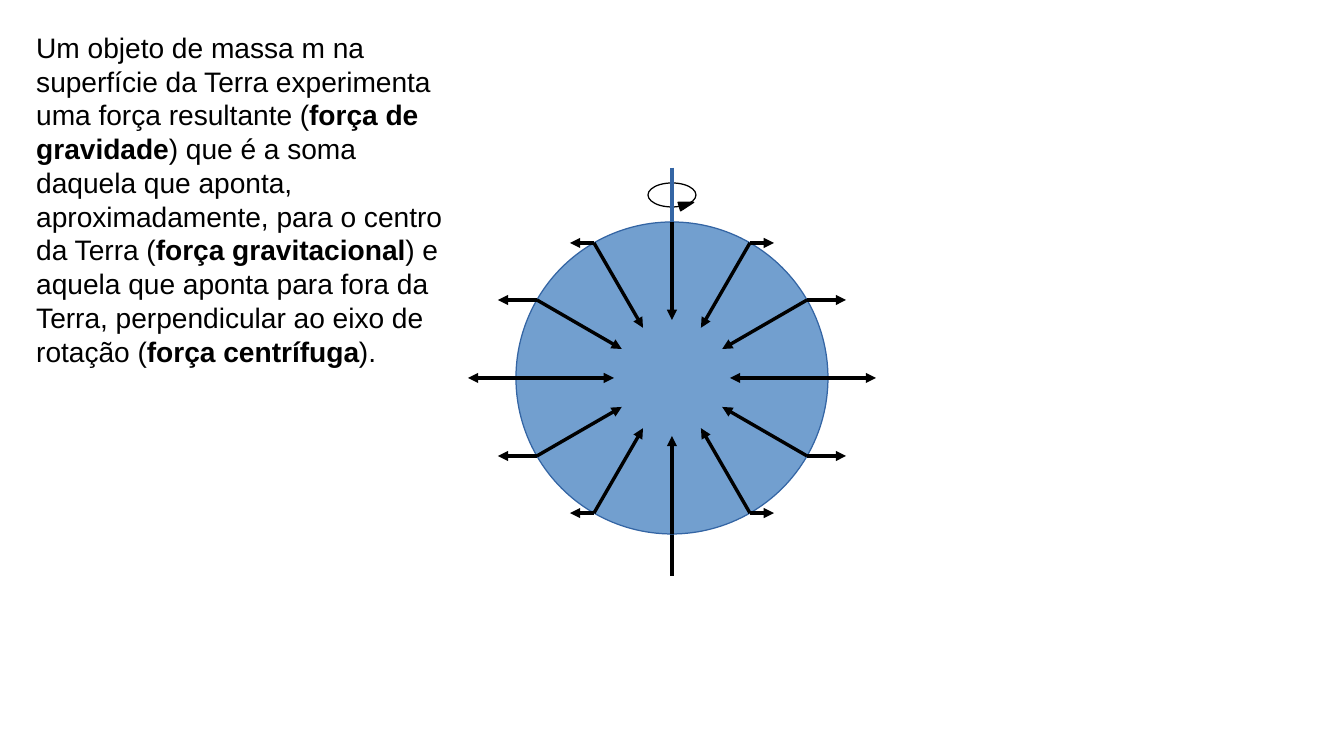
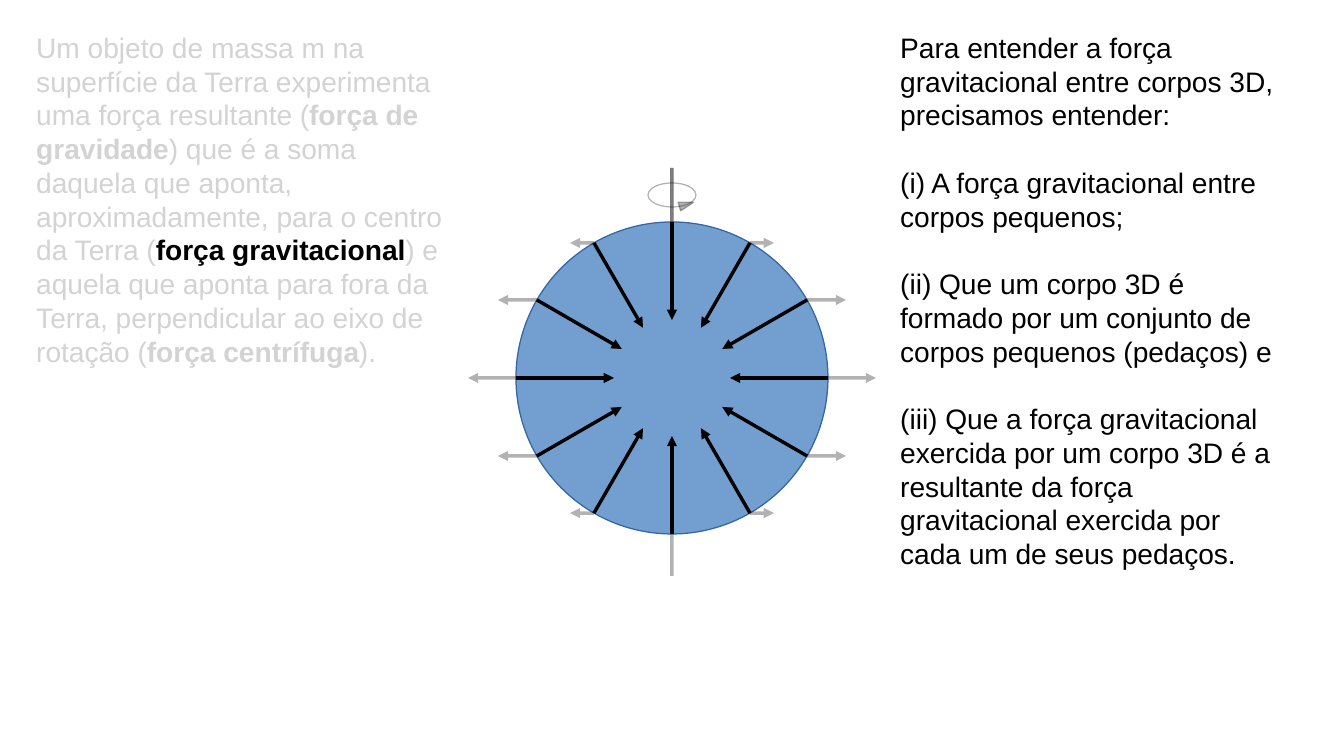
"""Build two slides on the gravitational and centrifugal forces on the rotating Earth."""
from dataclasses import dataclass
from math import cos, radians, sin

from lxml import etree
from pptx import Presentation
from pptx import util as u
from pptx.dml.color import RGBColor
from pptx.enum import shapes, text
from pptx.oxml import ns

PASSAGE = [
    ("Um objeto de massa m na superfície da Terra experimenta uma força resultante (", False),
    ("força de gravidade", True),
    (") que é a soma daquela que aponta, aproximadamente, para o centro da Terra (", False),
    ("força gravitacional", True),
    (") e aquela que aponta para fora da Terra, perpendicular ao eixo de rotação (", False),
    ("força centrífuga", True),
    (").", False),
]
STEPS = [
    "Para entender a força gravitacional entre corpos 3D, precisamos entender:",
    "(i) A força gravitacional entre corpos pequenos;",
    "(ii) Que um corpo 3D é formado por um conjunto de corpos pequenos (pedaços) e",
    "(iii) Que a força gravitacional exercida por um corpo 3D é a resultante da força "
    "gravitacional exercida por cada um de seus pedaços.",
]


@dataclass(frozen=True)
class Theme:
    """Colours and type sizes."""
    ink: str = "000000"
    faded: str = "D3D3D3"
    globe: str = "729FCF"
    outline: str = "3465A4"
    font: str = "Arial"
    size: float = 16.6
    leading: float = 19.93


THEME = Theme()
SLIDES = [
    {"passage_color": THEME.ink, "focus": None, "steps": [],
     "opacity": 100, "pole_color": THEME.outline},
    {"passage_color": THEME.faded, "focus": "força gravitacional", "steps": STEPS,
     "opacity": 30, "pole_color": THEME.ink},
]

PX = 914400 / 122
SLIDE_SIZE = (1344, 756)
PASSAGE_BOX = (24, 24, 447, 365)
STEPS_BOX = (888, 24, 409, 456)
CENTER_X, CENTER_Y = 672, 378
RADIUS, INNER_RADIUS = 156, 58
AXIS_TOP, AXIS_BOTTOM, POLE_BOTTOM = 168, 576, 240
RING_BOX = (648, 183, 48, 24)
RING_HEAD_BOX, RING_HEAD_ANGLE = (682, 197, 9, 15), 73.7
CENTRIFUGAL_LENGTHS = {0: 48, 30: 39, 60: 24}


def px(value):
    """Turn pixels into EMU."""
    return u.Emu(round(value * PX))


def apply(target, values):
    """Set each named value on the target."""
    for name, value in values.items():
        setattr(target, name, value)


def style_line(shape, color):
    """Give a shape or connector a hairline."""
    shape.line.color.rgb = RGBColor.from_string(color)
    shape.line.width = 0


def set_opacity(shape, opacity):
    """Make fill and line partly transparent."""
    if opacity < 100:
        for color in shape.element.spPr.iter(ns.qn("a:srgbClr")):
            etree.SubElement(color, ns.qn("a:alpha"), val=str(opacity * 1000))


def add_line(collection, start, end, color, opacity=100, arrow=False):
    """Draw a hairline, with an arrowhead at its end if asked."""
    line = collection.add_connector(
        shapes.MSO_CONNECTOR.STRAIGHT, *map(px, (*start, *end)))
    style_line(line, color)
    set_opacity(line, opacity)
    properties = line.element.spPr
    if arrow:
        outline = properties.find(ns.qn("a:ln"))
        etree.SubElement(outline, ns.qn("a:tailEnd"), type="triangle")
    etree.SubElement(properties, ns.qn("a:effectLst"))


def add_outline(slide, kind, box, line, fill=None, opacity=100, rotation=0):
    """Draw a preset shape, hollow if it has no fill."""
    shape = slide.shapes.add_shape(kind, *map(px, box))
    shape.shadow.inherit = False
    shape.rotation = rotation
    if fill:
        shape.fill.solid()
        shape.fill.fore_color.rgb = RGBColor.from_string(fill)
    else:
        shape.fill.background()
    style_line(shape, line)
    set_opacity(shape, opacity)


def rim_point(angle, radius=RADIUS):
    """Find the point at an angle and distance from the globe's centre."""
    return (CENTER_X + radius * cos(radians(angle)),
            CENTER_Y - radius * sin(radians(angle)))


def add_globe(slide, opacity, pole_color):
    """Draw the globe, its axis, its rotation mark and both sets of forces."""
    oval = shapes.MSO_SHAPE.OVAL
    axis_top = (CENTER_X, AXIS_TOP)
    globe_box = (CENTER_X - RADIUS, CENTER_Y - RADIUS, 2 * RADIUS, 2 * RADIUS)
    add_line(slide.shapes, axis_top, (CENTER_X, AXIS_BOTTOM), THEME.ink, opacity)
    add_outline(slide, oval, globe_box, THEME.outline, THEME.globe)
    add_outline(slide, oval, RING_BOX, THEME.ink, opacity=opacity)
    add_outline(slide, shapes.MSO_SHAPE.ISOSCELES_TRIANGLE, RING_HEAD_BOX,
                THEME.ink, THEME.ink, opacity, RING_HEAD_ANGLE)
    add_line(slide.shapes, axis_top, (CENTER_X, POLE_BOTTOM), pole_color, opacity)

    gravitational = slide.shapes.add_group_shape().shapes
    for angle in range(0, 360, 30):
        add_line(gravitational, rim_point(angle), rim_point(angle, INNER_RADIUS),
                 THEME.ink, arrow=True)

    centrifugal = slide.shapes.add_group_shape().shapes
    for latitude, length in CENTRIFUGAL_LENGTHS.items():
        for angle in sorted({latitude, -latitude}):
            for side in (1, -1):
                x, y = rim_point(angle if side == 1 else 180 - angle)
                add_line(centrifugal, (x, y), (x + side * length, y),
                         THEME.ink, opacity, arrow=True)


def fill_body(body, box, paragraphs):
    """Place a body placeholder and write paragraphs of (text, bold, colour) runs."""
    apply(body, dict(zip(("left", "top", "width", "height"), map(px, box))))
    frame = body.text_frame
    apply(frame, {"word_wrap": True, "auto_size": text.MSO_AUTO_SIZE.NONE,
                  "vertical_anchor": text.MSO_ANCHOR.TOP})
    for index, runs in enumerate(paragraphs):
        paragraph = frame.add_paragraph() if index else frame.paragraphs[0]
        leading = u.Pt(THEME.leading)
        apply(paragraph, {"line_spacing": leading, "space_before": u.Pt(0),
                          "space_after": leading})
        properties = paragraph._p.get_or_add_pPr()
        properties.set("marL", "0")
        properties.set("indent", "0")
        etree.SubElement(properties, ns.qn("a:buNone"))
        for words, bold, color in runs:
            run = paragraph.add_run()
            run.text = words
            apply(run.font, {"name": THEME.font, "size": u.Pt(THEME.size), "bold": bold})
            run.font.color.rgb = RGBColor.from_string(color)


def add_slide(presentation, content):
    """Build one slide from its content."""
    slide = presentation.slides.add_slide(presentation.slide_layouts[3])
    title, passage, steps = slide.placeholders
    runs = [(words, bold, THEME.ink if words == content["focus"] else content["passage_color"])
            for words, bold in PASSAGE]
    fill_body(passage, PASSAGE_BOX, [runs])
    fill_body(steps, STEPS_BOX, [[(step, False, THEME.ink)] for step in content["steps"]])
    unused = [title] if content["steps"] else [title, steps]
    for placeholder in unused:
        placeholder.element.getparent().remove(placeholder.element)
    add_globe(slide, content["opacity"], content["pole_color"])


def main():
    """Build and save the presentation."""
    presentation = Presentation()
    presentation.slide_width, presentation.slide_height = map(px, SLIDE_SIZE)
    for content in SLIDES:
        add_slide(presentation, content)
    presentation.save("out.pptx")


if __name__ == "__main__":
    main()
